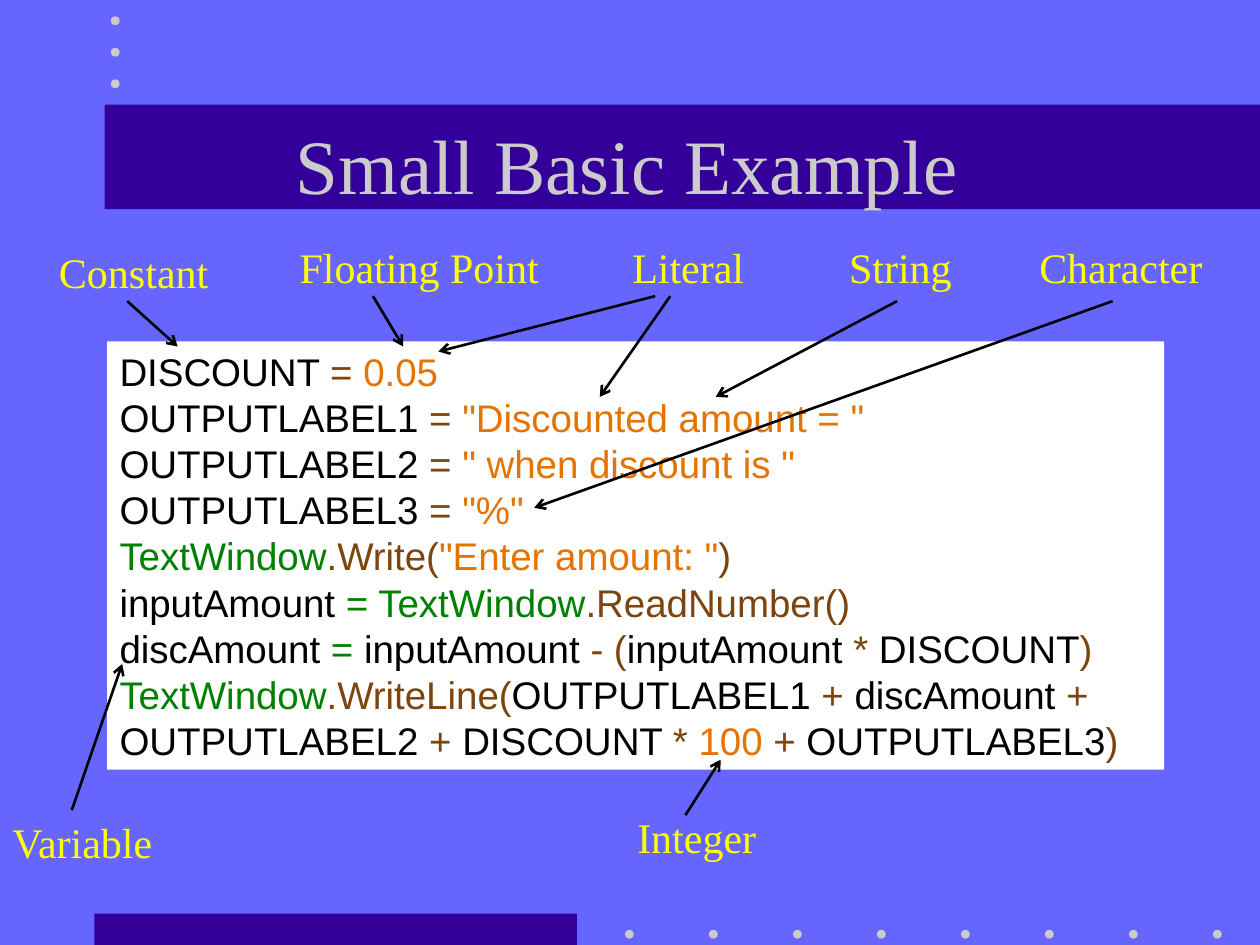
from lxml import etree
from pptx import Presentation
from pptx.dml.color import RGBColor
from pptx.enum.shapes import MSO_CONNECTOR, MSO_SHAPE
from pptx.enum.text import MSO_ANCHOR, PP_ALIGN
from pptx.oxml.ns import qn
from pptx.util import Inches, Pt

RECT, OVAL = MSO_SHAPE.RECTANGLE, MSO_SHAPE.OVAL
STRAIGHT = MSO_CONNECTOR.STRAIGHT
TOP, MIDDLE = MSO_ANCHOR.TOP, MSO_ANCHOR.MIDDLE
LEFT, CENTER = PP_ALIGN.LEFT, PP_ALIGN.CENTER

BLUE = RGBColor(0x66, 0x66, 0xFF)
INDIGO = RGBColor(0x33, 0x00, 0x99)
GRAY = RGBColor(0xCB, 0xCB, 0xCB)
YELLOW = RGBColor(0xFF, 0xFF, 0x00)
WHITE = RGBColor(0xFF, 0xFF, 0xFF)
BLACK = RGBColor(0x00, 0x00, 0x00)
BROWN = RGBColor(0x7C, 0x45, 0x0E)
ORANGE = RGBColor(0xE5, 0x73, 0x00)
GREEN = RGBColor(0x00, 0x80, 0x00)
SERIF, SANS = "Times New Roman", "Arial"

TITLE = "Small Basic Example"
CODE = [
    [("DISCOUNT ", BLACK), ("= ", BROWN), ("0.05", ORANGE)],
    [("OUTPUTLABEL1 ", BLACK), ("= ", BROWN), ('"Discounted amount = "', ORANGE)],
    [("OUTPUTLABEL2 ", BLACK), ("= ", BROWN), ('" when discount is "', ORANGE)],
    [("OUTPUTLABEL3 ", BLACK), ("= ", BROWN), ('"%"', ORANGE)],
    [("TextWindow", GREEN), (".Write(", BROWN), ('"Enter amount: "', ORANGE), (")", BROWN)],
    [("inputAmount ", BLACK), ("= TextWindow", GREEN), (".ReadNumber()", BROWN)],
    [("discAmount", BLACK), (" = ", GREEN), ("inputAmount ", BLACK), ("- (", BROWN),
     ("inputAmount ", BLACK), ("* ", BROWN), ("DISCOUNT", BLACK), (")", BROWN)],
    [("TextWindow", GREEN), (".WriteLine(", BROWN), ("OUTPUTLABEL1 ", BLACK), ("+ ", BROWN),
     ("discAmount ", BLACK), ("+ ", BROWN), ("OUTPUTLABEL2 ", BLACK), ("+", BROWN),
     (" DISCOUNT ", BLACK), ("* ", BROWN), ("100 ", ORANGE), ("+", BROWN),
     (" OUTPUTLABEL3", BLACK), (")", BROWN)],
]
LABELS = [
    ("Variable", 0, 6.43, 1.36),
    ("String", 6.64, 1.87, 1.2),
    ("Literal", 4.92, 1.87, 1.2),
    ("Constant", 0.37, 1.91, 1.56),
    ("Character", 8.15, 1.87, 1.56),
    ("Floating Point", 2.28, 1.87, 2.2),
    ("Integer", 4.96, 6.39, 1.24),
]
ARROWS = [
    (1.01, 2.39, 1.41, 2.75),
    (2.96, 2.35, 3.2, 2.75),
    (5.32, 2.35, 4.76, 3.15),
    (7.12, 2.39, 5.68, 3.15),
    (8.83, 2.39, 4.24, 4.03),
    (0.57, 6.43, 0.97, 5.27),
    (5.44, 6.47, 5.72, 6.03),
    (5.2, 2.35, 3.48, 2.79),
]
BARS = [(0.75, 7.25, 3.83, 0.25), (0.83, 0.83, 9.17, 0.83)]
DOT = 0.07
DOTS = [(4.96 + i * 2 / 3, 7.38) for i in range(8)]
DOTS += [(0.88, 0.13 + i * 0.25) for i in range(3)]


def add_shape(s, kind, box, color):
    sp = s.shapes.add_shape(kind, *map(Inches, box))
    sp.shadow.inherit = False
    sp.fill.solid()
    sp.fill.fore_color.rgb = color
    sp.line.fill.background()
    return sp


def write(sp, lines, font, size, align=LEFT, anchor=TOP):
    tf = sp.text_frame
    tf.word_wrap = True
    tf.vertical_anchor = anchor
    for i, runs in enumerate(lines):
        p = tf.paragraphs[0] if i == 0 else tf.add_paragraph()
        p.alignment = align
        for text, color in runs:
            r = p.add_run()
            r.text = text
            r.font.name = font
            r.font.size = Pt(size)
            r.font.color.rgb = color


def add_arrow(s, ends):
    line = s.shapes.add_connector(STRAIGHT, *map(Inches, ends))
    line.line.color.rgb = BLACK
    line.line.width = Pt(1.5)
    etree.SubElement(line.line._get_or_add_ln(), qn("a:tailEnd"), type="arrow")
    etree.SubElement(line._element.spPr, qn("a:effectLst"))


def main():
    prs = Presentation()
    prs.slide_width, prs.slide_height = Inches(10), Inches(7.5)
    s = prs.slides.add_slide(prs.slide_layouts[6])
    s.background.fill.solid()
    s.background.fill.fore_color.rgb = BLUE

    for box in BARS:
        add_shape(s, RECT, box, INDIGO)
    for x, y in DOTS:
        add_shape(s, OVAL, (x, y, DOT, DOT), GRAY)

    title = s.shapes.add_textbox(*map(Inches, (0.73, 0.67, 8.5, 1.25)))
    write(title, [[(TITLE, GRAY)]], SERIF, 44, CENTER, MIDDLE)
    code = add_shape(s, RECT, (0.85, 2.71, 8.39, 3.4), WHITE)
    write(code, CODE, SANS, 22)
    for text, x, y, w in LABELS:
        label = s.shapes.add_textbox(*map(Inches, (x, y, w, 0.5)))
        write(label, [[(text, YELLOW)]], SERIF, 24)
    for ends in ARROWS:
        add_arrow(s, ends)

    prs.save("out.pptx")


if __name__ == "__main__":
    main()
